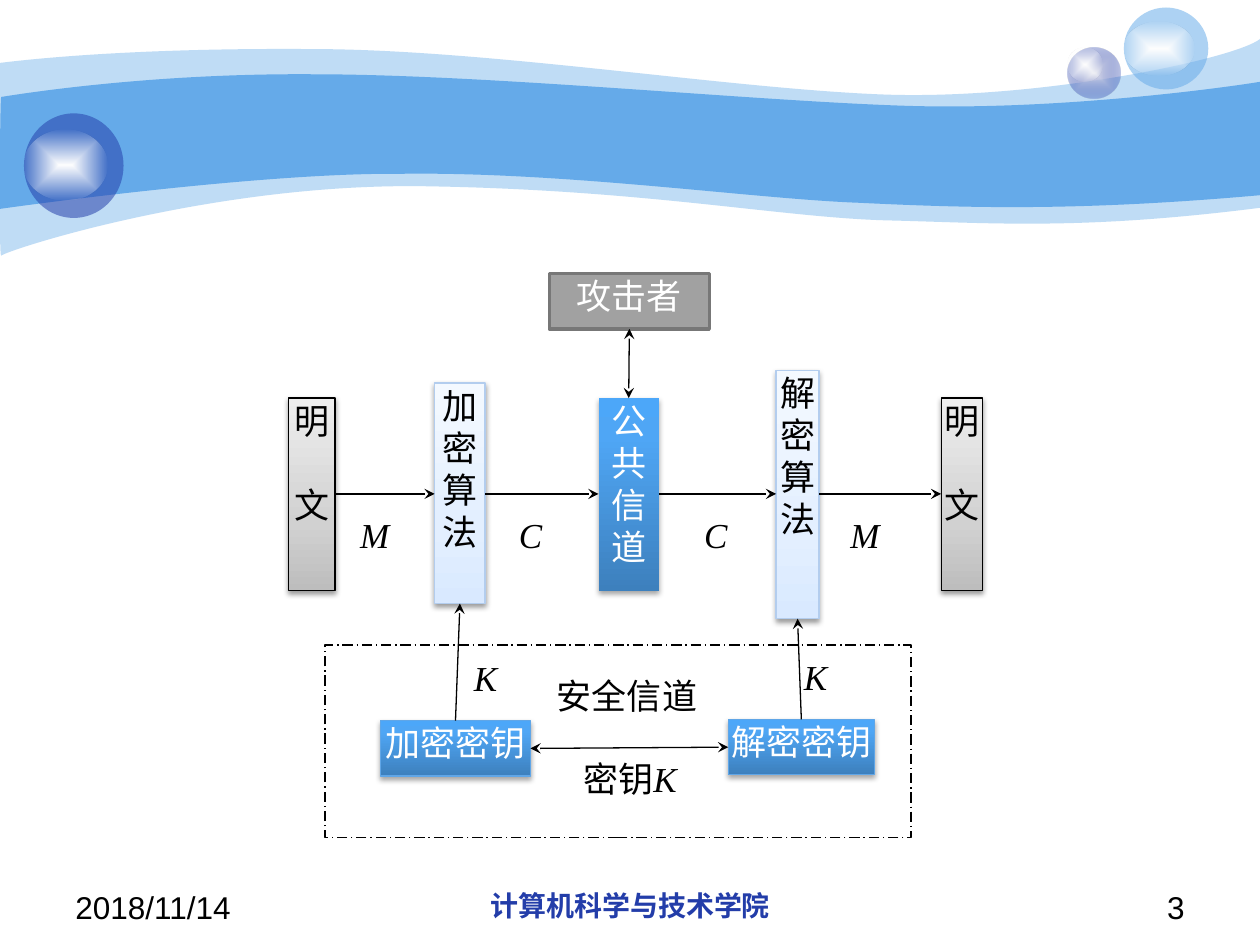
from itertools import pairwise

from lxml import etree
from pptx import Presentation
from pptx.dml.color import RGBColor as RGB
from pptx.enum.dml import MSO_LINE
from pptx.enum.shapes import MSO_CONNECTOR, MSO_SHAPE
from pptx.enum.text import MSO_ANCHOR, PP_ALIGN as AL
from pptx.oxml.ns import qn
from pptx.util import Inches, Pt

BLACK, WHITE = RGB(0, 0, 0), RGB(255, 255, 255)
SKY, NAVY = RGB(0x65, 0xAA, 0xE9), RGB(0x23, 0x3D, 0xA9)
PALE = RGB(0xE1, 0xE2, 0xED)
GREY, DARK_GREY = RGB(0xA1, 0xA1, 0xA1), RGB(0x77, 0x77, 0x77)
ICE_EDGE, BLUE_EDGE = RGB(0xB3, 0xCD, 0xEE), RGB(0x60, 0xA6, 0xE7)


def stops(*pairs):
    return [(pos, RGB.from_string(code), 100) for pos, code in pairs]


SILVER = stops((0, "BDBDBD"), (35, "D1D1D1"), (100, "EEEEEE"))
ICE = stops((0, "D9E9FF"), (35, "E3EFFF"), (100, "F4F9FF"))
BLUE = stops((0, "3D80BD"), (80, "4FA6F5"), (100, "4CA7F9"))
GLOW = [(0, WHITE, 100), (100, WHITE, 0)]
PEARL = [(0, PALE, 100), (100, NAVY, 31)]

PLAIN = dict(fill=SILVER, line=BLACK, color=BLACK, shadow=(38, 1.6))
ALGORITHM = dict(fill=ICE, line=ICE_EDGE, color=BLACK, shadow=(38, 1.6))
CHANNEL = dict(fill=BLUE, line=None, color=WHITE, shadow=(35, 1.8))
KEY = dict(CHANNEL, line=BLUE_EDGE)
ATTACKER = dict(fill=GREY, line=DARK_GREY, color=WHITE, width=2)


def sub(parent, tag, **attrs):
    return etree.SubElement(parent, qn(tag), {k: str(v) for k, v in attrs.items()})


def add_color(parent, color, alpha):
    clr = sub(parent, "a:srgbClr", val=color)
    if alpha < 100:
        sub(clr, "a:alpha", val=alpha * 1000)


def set_fill(sp, fill, alpha=100, radial=False):
    """Fill with one colour, or with a list of (position, colour, alpha) stops."""
    sp.fill.solid()
    sp.fill.fore_color.rgb = WHITE
    old = sp._element.spPr.find(qn("a:solidFill"))
    if not isinstance(fill, list):
        old.clear()
        add_color(old, fill, alpha)
        return
    grad = etree.Element(qn("a:gradFill"), rotWithShape="1")
    gs_list = sub(grad, "a:gsLst")
    for pos, color, opacity in fill:
        add_color(sub(gs_list, "a:gs", pos=pos * 1000), color, opacity)
    if radial:
        path = sub(grad, "a:path", path="shape")
        sub(path, "a:fillToRect", l=50000, t=50000, r=50000, b=50000)
    else:
        sub(grad, "a:lin", ang=270 * 60000, scaled=0)
    old.getparent().replace(old, grad)


def set_line(sp, color, width=0.75):
    if color is None:
        sp.line.fill.background()
    else:
        sp.line.color.rgb, sp.line.width = color, Pt(width)


def set_shadow(sp, alpha, dist):
    effects = sp._element.spPr.find(qn("a:effectLst"))
    shadow = sub(effects, "a:outerShdw", blurRad=Pt(3.1), dist=Pt(dist),
                 dir=90 * 60000, rotWithShape=0)
    add_color(shadow, BLACK, alpha)


def add_run(p, text, **fmt):
    r = p.add_run()
    r.text = text
    r.font.color.rgb = fmt.pop("color", BLACK)
    for name, value in fmt.items():
        setattr(r.font, name, value)


def add_box(s, box, fill, line=None, width=0.75, shadow=None,
            shape=MSO_SHAPE.RECTANGLE, alpha=100, radial=False):
    sp = s.shapes.add_shape(shape, *map(Inches, box))
    sp.shadow.inherit = False
    set_fill(sp, fill, alpha, radial)
    set_line(sp, line, width)
    if shadow:
        set_shadow(sp, *shadow)
    return sp


def add_text(sp, paragraphs, align, color=BLACK, inset=(0.02, 0.01), gap=0):
    """Write paragraphs, each a list of (text, italic); gap parts them in points."""
    tf = sp.text_frame
    tf.word_wrap, tf.vertical_anchor = True, MSO_ANCHOR.TOP
    tf.margin_left = tf.margin_right = Inches(inset[0])
    tf.margin_top = tf.margin_bottom = Inches(inset[1])
    for i, runs in enumerate(paragraphs):
        p = tf.add_paragraph() if i else tf.paragraphs[0]
        p.alignment = align
        if i and gap:
            p.space_before = Pt(gap)
        for text, italic in runs:
            add_run(p, text, size=Pt(20), name="Times New Roman",
                    italic=italic, color=color)


def add_wave(s, left, top, alpha, start, *segments):
    """Draw a closed outline; a segment has one end point or three Bézier points."""
    points = [start] + [seg[i:i + 2] for seg in segments for i in range(0, len(seg), 2)]
    points = [(Inches(left + x), Inches(top + y)) for x, y in points]
    builder = s.shapes.build_freeform(*points[0])
    builder.add_line_segments(points[1:], close=True)
    sp = builder.convert_to_shape()
    steps = iter(list(sp._element.iter(qn("a:lnTo"))))
    for seg in segments:
        step = next(steps)
        if len(seg) == 6:
            curve = etree.Element(qn("a:cubicBezTo"))
            step.addprevious(curve)
            for node in (step, next(steps), next(steps)):
                curve.append(node[0])
                node.getparent().remove(node)
    sp.shadow.inherit = False
    set_fill(sp, SKY, alpha)
    set_line(sp, None)


def add_header(s, left, top):
    add_wave(s, left, top, 41, (0, 0.5),
             (0.24, 0.47, 1.07, 0.38, 2.47, 0.39), (3.86, 0.39, 5.75, 0.7, 6.99, 0.75),
             (8.22, 0.8, 9.8, 0.47, 10, 0.31), (10, 1.65),
             (8.58, 1.83, 7.87, 1.77, 7.05, 1.75), (6.22, 1.73, 5.15, 1.51, 3.43, 1.48),
             (1.72, 1.44, 0.04, 1.99, 0.01, 2.03), (-0.01, 2.08, 0, 0.75, 0, 0.5))
    add_wave(s, left, top, 100, (0.01, 0.77),
             (0.02, 0.77, 1.1, 0.58, 2.48, 0.59), (3.86, 0.59, 5.95, 0.8, 7.18, 0.84),
             (8.41, 0.88, 9.76, 0.69, 10, 0.65), (10, 1.55),
             (8.53, 1.68, 7.65, 1.65, 6.82, 1.61), (5.99, 1.58, 4.47, 1.36, 3.17, 1.38),
             (2.03, 1.37, -0.02, 1.66, -0.01, 1.66), (0, 1.66, 0, 0.77, 0.01, 0.77))
    bubbles = [((8.47, 0.38, 0.42, 0.4), PEARL, (8.47, 0.38, 0.28, 0.27)),
               ((8.92, 0.06, 0.67, 0.65), SKY, (8.92, 0.17, 0.56, 0.43)),
               ((0.19, 0.9, 0.79, 0.83), NAVY, (0.19, 1.03, 0.66, 0.56))]
    for ball, fill, shine in bubbles:
        group = s.shapes.add_group_shape()
        for (x, y, w, h), paint in ((ball, fill), (shine, GLOW)):
            add_box(group, (left + x, top + y, w, h), paint, shape=MSO_SHAPE.OVAL,
                    alpha=53, radial=True)


def add_arrow(s, start, end, both=False):
    c = s.shapes.add_connector(MSO_CONNECTOR.STRAIGHT, *map(Inches, start + end))
    set_line(c, BLACK)
    ln = c.line._get_or_add_ln()
    for tag in ("a:headEnd", "a:tailEnd") if both else ("a:tailEnd",):
        sub(ln, tag, type="stealth")
    sub(c._element.spPr, "a:effectLst")


def add_cipher_diagram(s, left, top):
    group = s.shapes.add_group_shape()

    def place(x, y, w, h):
        return left + x, top + y, w, h

    def add_label(box, *runs, **options):
        sp = add_box(group, place(*box), WHITE, WHITE)
        add_text(sp, [runs], AL.JUSTIFY, **options)

    def add_node(box, style, *lines, gap=0):
        style = dict(style)
        color = style.pop("color")
        box = place(*box)
        sp = add_box(group, box, **style)
        add_text(sp, [[(line, False)] for line in lines], AL.CENTER, color, gap=gap)
        return box

    frame = add_box(group, place(0.29, 2.95, 4.65, 1.53), WHITE, BLACK)
    frame.line.dash_style = MSO_LINE.LONG_DASH_DOT
    for x, y in ((4.07, 3.02), (1.45, 3.03)):
        add_label((x, y, 0.58, 0.44), ("K", True))
    add_label((2.11, 3.17, 1.16, 0.44), ("安全信道", False))
    for x, w, name in ((4.36, 0.71, "M"), (3.2, 0.35, "C"), (1.73, 0.56, "C"), (0.47, 0.58, "M")):
        add_label((x, 1.86, w, 0.66), (name, True), inset=(0.1, 0.05))

    attacker = add_node((2.07, 0, 1.27, 0.44), ATTACKER, "攻击者")
    sender = add_node((0, 0.99, 0.37, 1.53), PLAIN, "明", "文", gap=24)
    encrypt = add_node((1.16, 0.87, 0.4, 1.75), ALGORITHM, "加密算法")
    channel = add_node((2.46, 0.99, 0.48, 1.53), CHANNEL, "公共信", "道")
    decrypt = add_node((3.87, 0.77, 0.34, 1.97), ALGORITHM, "解密算法")
    receiver = add_node((5.18, 0.99, 0.33, 1.53), PLAIN, "明", "文", gap=24)
    encrypt_key = add_node((0.73, 3.55, 1.19, 0.44), KEY, "加密密钥")
    decrypt_key = add_node((3.49, 3.54, 1.16, 0.44), KEY, "解密密钥")

    def anchor(box, fx, fy):
        x, y, w, h = box
        return x + w * fx, y + h * fy

    add_arrow(group, anchor(attacker, 0.5, 1), anchor(channel, 0.5, 0), both=True)
    for a, b in pairwise((sender, encrypt, channel, decrypt, receiver)):
        add_arrow(group, (a[0] + a[2], top + 1.75), (b[0], top + 1.75))
    for key, algorithm in ((encrypt_key, encrypt), (decrypt_key, decrypt)):
        add_arrow(group, anchor(key, 0.5, 0), anchor(algorithm, 0.5, 1))
    add_label((2.32, 3.83, 0.87, 0.44), ("密钥", False), ("K", True))
    add_arrow(group, anchor(encrypt_key, 1, 0.5), anchor(decrypt_key, 0, 0.5), both=True)


def add_footer(s, left, top):
    for x, w, text, align, fmt in (
            (0, 2.33, "2018/11/14", AL.LEFT, dict(size=Pt(18))),
            (2.92, 3.17, "计算机科学与技术学院", AL.CENTER,
             dict(size=Pt(16), bold=True, color=NAVY)),
            (6.67, 2.33, "3", AL.RIGHT, dict(size=Pt(18)))):
        tf = s.shapes.add_textbox(*map(Inches, (left + x, top, w, 0.35))).text_frame
        tf.word_wrap = True
        p = tf.paragraphs[0]
        p.alignment = align
        add_run(p, text, name="Arial", **fmt)


def main():
    prs = Presentation()
    prs.slide_width, prs.slide_height = Inches(10), Inches(7.5)
    s = prs.slides.add_slide(prs.slide_layouts[6])
    add_header(s, 0, 0)
    add_footer(s, 0.5, 7)
    add_cipher_diagram(s, 2.29, 2.17)
    prs.save("out.pptx")


if __name__ == "__main__":
    main()
